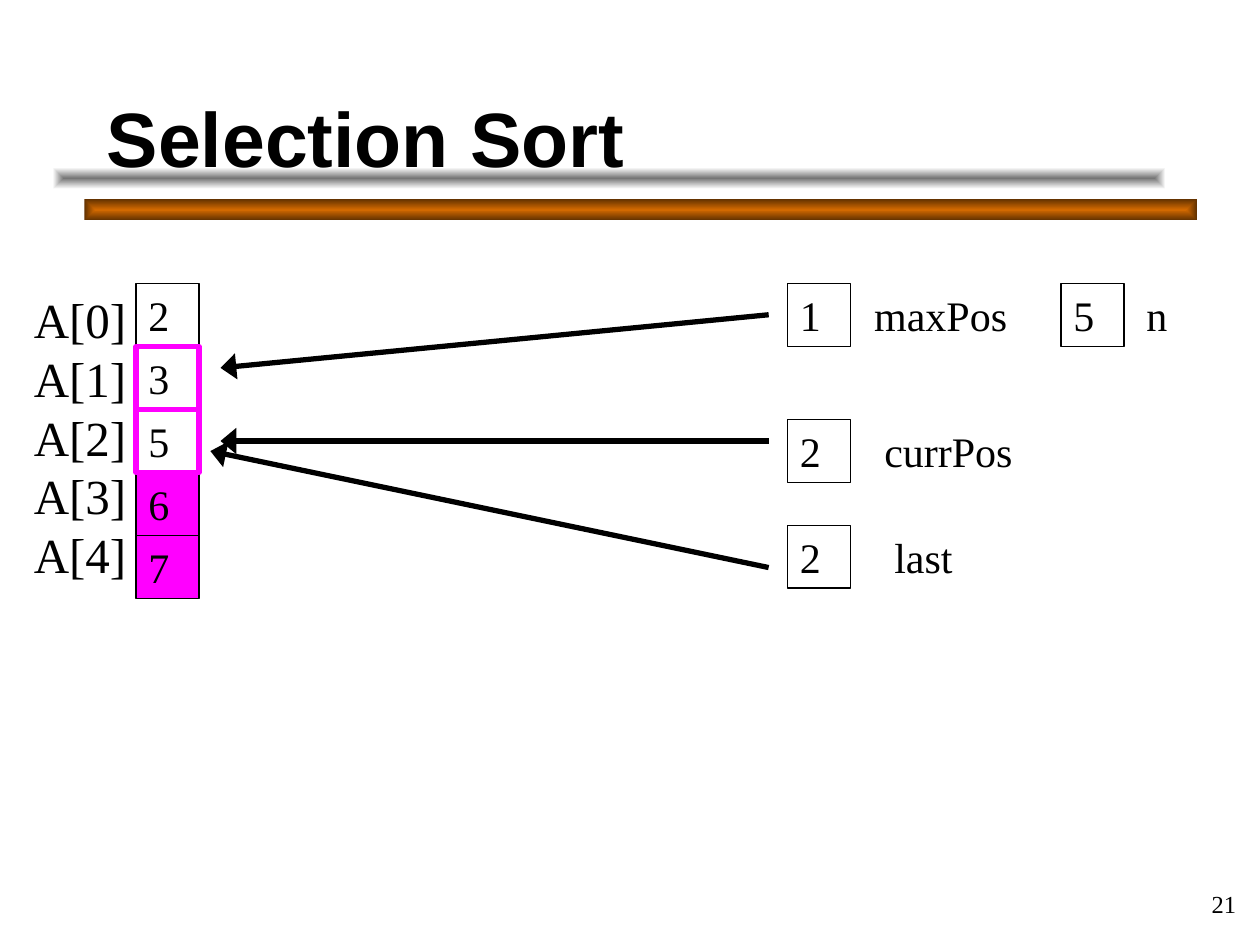
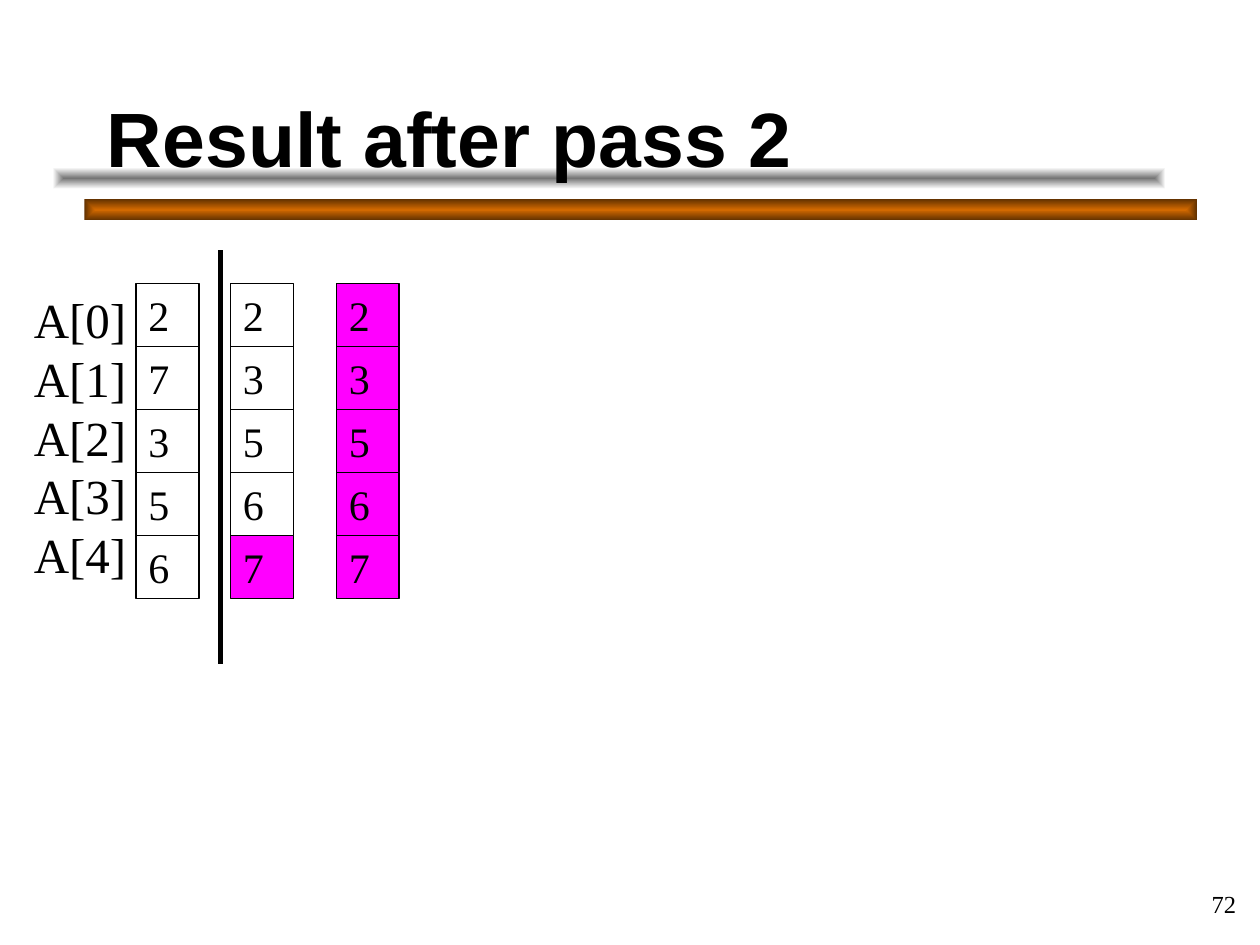
from pptx import Presentation
from pptx.dml.color import RGBColor
from pptx.enum import shapes, text
from pptx.oxml import parse_xml
from pptx.oxml.ns import nsdecls, qn
from pptx.util import Inches, Pt

BLACK = RGBColor(0x00, 0x00, 0x00)
MAGENTA = RGBColor(0xFF, 0x00, 0xFF)
ORANGE = RGBColor(0xD2, 0x69, 0x00)
BROWN = RGBColor(0x61, 0x31, 0x00)
GREY = RGBColor(0x76, 0x76, 0x76)
WHITE = RGBColor(0xFF, 0xFF, 0xFF)
TITLE_FONT, BODY_FONT = "Arial", "Times New Roman"

CELL = 0.5
ARRAY_LEFT, ARRAY_TOP = 1.08, 2.25
INDEX_LABELS = [f"A[{index}]" for index in range(5)]

# Left, top, centre colour, edge colour
BANDS = [(0.67, 1.58, ORANGE, BROWN), (0.42, 1.33, GREY, WHITE)]

# Arrays: left, values, index of the first sorted (filled) cell
# Variables: left, top, value, name, left and width of the name
# Lines: start, end, width in points, arrowhead
SLIDES = [
    {
        "title": "Selection Sort",
        "number": "21",
        "arrays": [(ARRAY_LEFT, "23567", 3)],
        "compared": [1, 2],
        "variables": [
            (6.25, 2.25, "1", "maxPos", 6.84, 1.4),
            (8.42, 2.25, "5", "n", 9, 0.4),
            (6.25, 3.33, "2", "currPos", 6.92, 1.4),
            (6.25, 4.17, "2", "last", 7, 0.8),
        ],
        "lines": [
            ((6.08, 2.5), (1.75, 2.92), 3, True),
            ((6.08, 3.5), (1.75, 3.5), 3, True),
            ((6.08, 4.5), (1.67, 3.58), 3, True),
        ],
    },
    {
        "title": "Result after pass 2",
        "number": "72",
        "arrays": [(ARRAY_LEFT, "27356", 5), (1.83, "23567", 4), (2.67, "23567", 0)],
        "compared": [],
        "variables": [],
        "lines": [((1.75, 2), (1.75, 5.25), 2.5, False)],
    },
]


def write(box, lines, size=24, font=BODY_FONT, bold=False, wrap=True,
          align=text.PP_ALIGN.LEFT, anchor=text.MSO_ANCHOR.TOP, spacing=None):
    frame = box.text_frame
    frame.word_wrap = wrap
    frame.vertical_anchor = anchor
    frame.text = "\n".join(lines)
    for para in frame.paragraphs:
        para.alignment = align
        para.line_spacing = spacing
        para.font.size = Pt(size)
        para.font.name = font
        para.font.bold = bold
        para.font.color.rgb = BLACK


def add_text(page, left, top, width, height, lines, **style):
    box = page.shapes.add_textbox(*map(Inches, (left, top, width, height)))
    write(box, lines, **style)


def add_rectangle(page, left, top, width, height):
    box = page.shapes.add_shape(shapes.MSO_SHAPE.RECTANGLE,
                                *map(Inches, (left, top, width, height)))
    box.shadow.inherit = False
    return box


def add_band(page, left, top, centre, edge):
    """Draw a bar whose colour runs from its centre out to its edges."""
    band = add_rectangle(page, left, top, 8.83, 0.17)
    band.line.fill.background()
    band.fill.gradient()
    for stop, colour in zip(band.fill.gradient_stops, (centre, edge)):
        stop.color.rgb = colour
    gradient = band._element.spPr.find(qn("a:gradFill"))
    gradient.replace(gradient.find(qn("a:lin")), parse_xml(
        f'<a:path {nsdecls("a")} path="rect">'
        '<a:fillToRect l="50000" t="50000" r="50000" b="50000"/></a:path>'))


def add_cell(page, left, top, value=None, fill=None, outline=BLACK, weight=1):
    cell = add_rectangle(page, left, top, CELL, CELL)
    if fill is None:
        cell.fill.background()
    else:
        cell.fill.solid()
        cell.fill.fore_color.rgb = fill
    cell.line.color.rgb = outline
    cell.line.width = Pt(weight)
    if value:
        write(cell, [value], spacing=Pt(28.8))


def add_line(page, start, end, weight, arrow):
    line = page.shapes.add_connector(shapes.MSO_CONNECTOR.STRAIGHT,
                                     *map(Inches, (*start, *end)))
    line.line.color.rgb = BLACK
    line.line.width = Pt(weight)
    outline = line.line._get_or_add_ln()
    outline.set("cap", "sq")
    if arrow:
        outline.append(parse_xml(
            f'<a:tailEnd {nsdecls("a")} type="triangle" w="lg" len="med"/>'))
    line._element.spPr.append(parse_xml(f'<a:effectLst {nsdecls("a")}/>'))


def row_top(index):
    return ARRAY_TOP + index * CELL


def build_slide(deck, content):
    page = deck.slides.add_slide(deck.slide_layouts[6])
    for band in BANDS:
        add_band(page, *band)
    add_text(page, 0.75, 0.25, 8.5, 1.25, [content["title"]], size=44,
             font=TITLE_FONT, bold=True, anchor=text.MSO_ANCHOR.BOTTOM)
    add_text(page, 0.17, ARRAY_TOP, 0.93, 2.44, INDEX_LABELS, size=28,
             wrap=False, spacing=Pt(33.6))
    for left, values, first_sorted in content["arrays"]:
        for index, value in enumerate(values):
            add_cell(page, left, row_top(index), value,
                     fill=MAGENTA if index >= first_sorted else None)
    for left, top, value, name, name_left, name_width in content["variables"]:
        add_cell(page, left, top, value)
        add_text(page, name_left, top, name_width, CELL, [name],
                 spacing=Pt(28.8))
    for index in content["compared"]:
        add_cell(page, ARRAY_LEFT, row_top(index), outline=MAGENTA, weight=3)
    for line in content["lines"]:
        add_line(page, *line)
    add_text(page, 7.83, 6.92, 2.08, 0.5, [content["number"]], size=14, wrap=False,
             align=text.PP_ALIGN.RIGHT, anchor=text.MSO_ANCHOR.MIDDLE)


def main():
    deck = Presentation()
    deck.slide_width, deck.slide_height = Inches(10), Inches(7.5)
    for content in SLIDES:
        build_slide(deck, content)
    deck.save("out.pptx")


if __name__ == "__main__":
    main()
